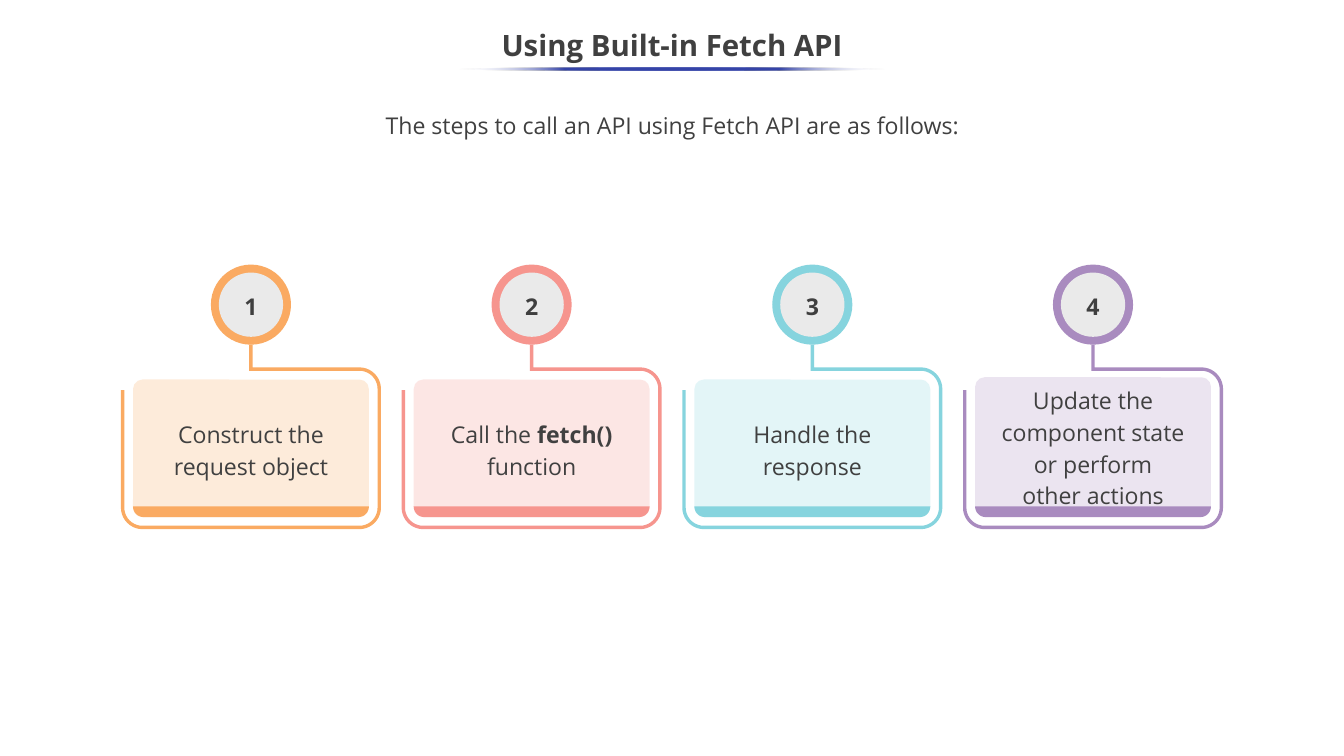
"""Build the slide on the four steps of calling an API with Fetch."""
from dataclasses import dataclass
from math import cos, radians, sin

from lxml.etree import SubElement
from pptx import Presentation
from pptx.dml.color import RGBColor as Rgb
from pptx.enum.shapes import MSO_SHAPE as Shape
from pptx.enum.text import MSO_ANCHOR as Anchor, PP_ALIGN as Align
from pptx.oxml.ns import qn
from pptx.util import Emu, Inches, Pt


@dataclass(frozen=True)
class Theme:
    """Colours, font and type sizes of the slide."""
    font: str = "Open Sans"
    title_size: int = 28
    body_size: int = 22
    text: str = "404040"
    numeral: str = "3F3F3F"
    badge: str = "EAEAEA"
    rule: str = "3645A9"
    paper: str = "FFFFFF"
    steps: tuple = ("FAAA62", "F6958E", "86D4DE", "A98BBF")


def arc(cx, cy, radius, start, end, parts=10):
    """Return points along a circular arc, with angles in degrees."""
    angles = [radians(start + (end - start) * i / parts) for i in range(parts + 1)]
    return [(cx + radius * cos(a), cy + radius * sin(a)) for a in angles]


class StepSlide:
    """Draw on a square grid that divides the slide height into 100 rows."""
    ROWS = 100
    MARGIN, STEP_WIDTH = 16, 34.4

    def __init__(self, deck, theme):
        """Add a blank slide and work out the grid."""
        self.theme = theme
        self.unit = deck.slide_height / self.ROWS
        self.columns = deck.slide_width / self.unit
        self.shapes = deck.slides.add_slide(deck.slide_layouts[6]).shapes

    def emu(self, *lengths):
        """Turn grid lengths into slide lengths."""
        return [Emu(round(length * self.unit)) for length in lengths]

    def paint(self, shape, color, alpha=None):
        """Give a shape a plain fill without line or shadow."""
        shape.shadow.inherit = False
        shape.line.fill.background()
        shape.fill.solid()
        shape.fill.fore_color.rgb = Rgb.from_string(color)
        if alpha:
            tint = shape.element.spPr.find(f"{qn('a:solidFill')}/{qn('a:srgbClr')}")
            SubElement(tint, qn("a:alpha"), val=str(alpha * 1000))
        return shape

    def preset(self, kind, box, color, alpha=None):
        """Add a painted preset shape."""
        return self.paint(self.shapes.add_shape(kind, *self.emu(*box)), color, alpha)

    def outline(self, x, y, points, color):
        """Add a painted closed outline whose points start from x, y."""
        first, *rest = [self.emu(x + dx, y + dy) for dx, dy in points]
        builder = self.shapes.build_freeform(*first, scale=1.0)
        builder.add_line_segments(rest, close=True)
        return self.paint(builder.convert_to_shape(), color)

    def set_text(self, shape, paragraphs, size, color, spacing, bold=False):
        """Fill a shape with centred paragraphs, each a list of (text, strong) runs."""
        frame = shape.text_frame
        frame.word_wrap = True
        frame.vertical_anchor = Anchor.MIDDLE
        for i, runs in enumerate(paragraphs):
            paragraph = frame.add_paragraph() if i else frame.paragraphs[0]
            paragraph.alignment = Align.CENTER
            paragraph.line_spacing = spacing
            font = paragraph.font
            font.name, font.size, font.bold = self.theme.font, Pt(size), bold
            font.color.rgb = Rgb.from_string(color)
            for text, strong in runs:
                run = paragraph.add_run()
                run.text = text
                if strong:
                    run.font.bold = True

    def heading(self, text, box, size, spacing, bold=False):
        """Add a centred line of text."""
        label = self.shapes.add_textbox(*self.emu(*box))
        self.set_text(label, [[(text, False)]], size, self.theme.text, spacing, bold)

    def title_rule(self, width, y, height):
        """Add the centred rule that fades out at both ends."""
        box = ((self.columns - width) / 2, y, width, height)
        rule = self.preset(Shape.OVAL, box, self.theme.rule)
        rule.fill.gradient()
        rule.fill.gradient_angle = 180
        stops = rule.element.spPr.find(f"{qn('a:gradFill')}/{qn('a:gsLst')}")
        stops.clear()
        for position in range(0, 101, 25):
            faded = position in (0, 100)
            stop = SubElement(stops, qn("a:gs"), pos=str(position * 1000))
            color = self.theme.paper if faded else self.theme.rule
            tint = SubElement(stop, qn("a:srgbClr"), val=color)
            if faded:
                SubElement(tint, qn("a:alpha"), val="0")

    def frame(self, x, y, color):
        """Add the open rounded frame with the stem up to its badge."""
        width, height, top, radius, stroke = self.STEP_WIDTH, 24.4, 3, 2.85, 0.45
        left, right = radius, width - radius
        low, high, inner = height - radius, top + radius, radius - stroke
        stem_left, stem_right = (width - stroke) / 2, (width + stroke) / 2
        self.outline(x, y, [
            *arc(right, low, radius, 0, 90), *arc(left, low, radius, 90, 180),
            (0, 6), (stroke, 6),
            *arc(left, low, inner, 180, 90), *arc(right, low, inner, 90, 0),
            *arc(right, high, inner, 0, -90),
            (stem_left, top + stroke), (stem_left, 0), (stem_right, 0), (stem_right, top),
            *arc(right, high, radius, -90, 0)], color)

    def card(self, x, y, color, paragraphs):
        """Add the tinted card with its text and its solid foot."""
        width, height, radius, foot = 31.2, 18.2, 1.25, 1.4
        panel = self.preset(Shape.ROUNDED_RECTANGLE, (x, y, width, height), color, 23)
        panel.adjustments[0] = radius / height
        self.set_text(panel, paragraphs, self.theme.body_size, self.theme.text, 1.14)
        self.outline(x, 67, [*arc(width - foot, 0, foot, 0, 90),
                             *arc(foot, 0, foot, 90, 180)], color)

    def badge(self, center, number, color):
        """Add the ringed number above a card."""
        middle = 40.3
        ring, disc = [
            self.preset(Shape.OVAL, (center - d / 2, middle - d / 2, d, d), fill)
            for d, fill in ((10.6, color), (8.5, self.theme.badge))]
        self.set_text(disc, [[(str(number), False)]], self.theme.body_size,
                      self.theme.numeral, 1.14, bold=True)

    def step(self, index, count, paragraphs, card_top):
        """Add one step in its column."""
        pitch = (self.columns - 2 * self.MARGIN - self.STEP_WIDTH) / (count - 1)
        x, color = self.MARGIN + index * pitch, self.theme.steps[index]
        self.frame(x, 45.6, color)
        self.card(x + 1.6, card_top, color, paragraphs)
        self.badge(x + self.STEP_WIDTH / 2, index + 1, color)


STEPS = [
    ([[("Construct the request object", False)]], 50.2),
    ([[("Call the ", False), ("fetch() ", True), ("function", False)]], 50.2),
    ([[("Handle the response", False)]], 50.2),
    ([[("Update the component state", False)], [("or perform", False)],
      [("other actions", False)]], 49.9),
]


def main():
    """Build and save the deck."""
    deck = Presentation()
    deck.slide_width, deck.slide_height = Inches(17.78), Inches(10)
    theme = Theme()
    slide = StepSlide(deck, theme)
    slide.heading("Using Built-in Fetch API", (0, 2.5, slide.columns, 7.5),
                  theme.title_size, 0.9, bold=True)
    slide.title_rule(56.4, 8.9, 0.4)
    for index, (paragraphs, card_top) in enumerate(STEPS):
        slide.step(index, len(STEPS), paragraphs, card_top)
    slide.heading("The steps to call an API using Fetch API are as follows:",
                  (33.5, 13.7, 110.9, 5.3), theme.body_size, 1.15)
    deck.save("out.pptx")


if __name__ == "__main__":
    main()
